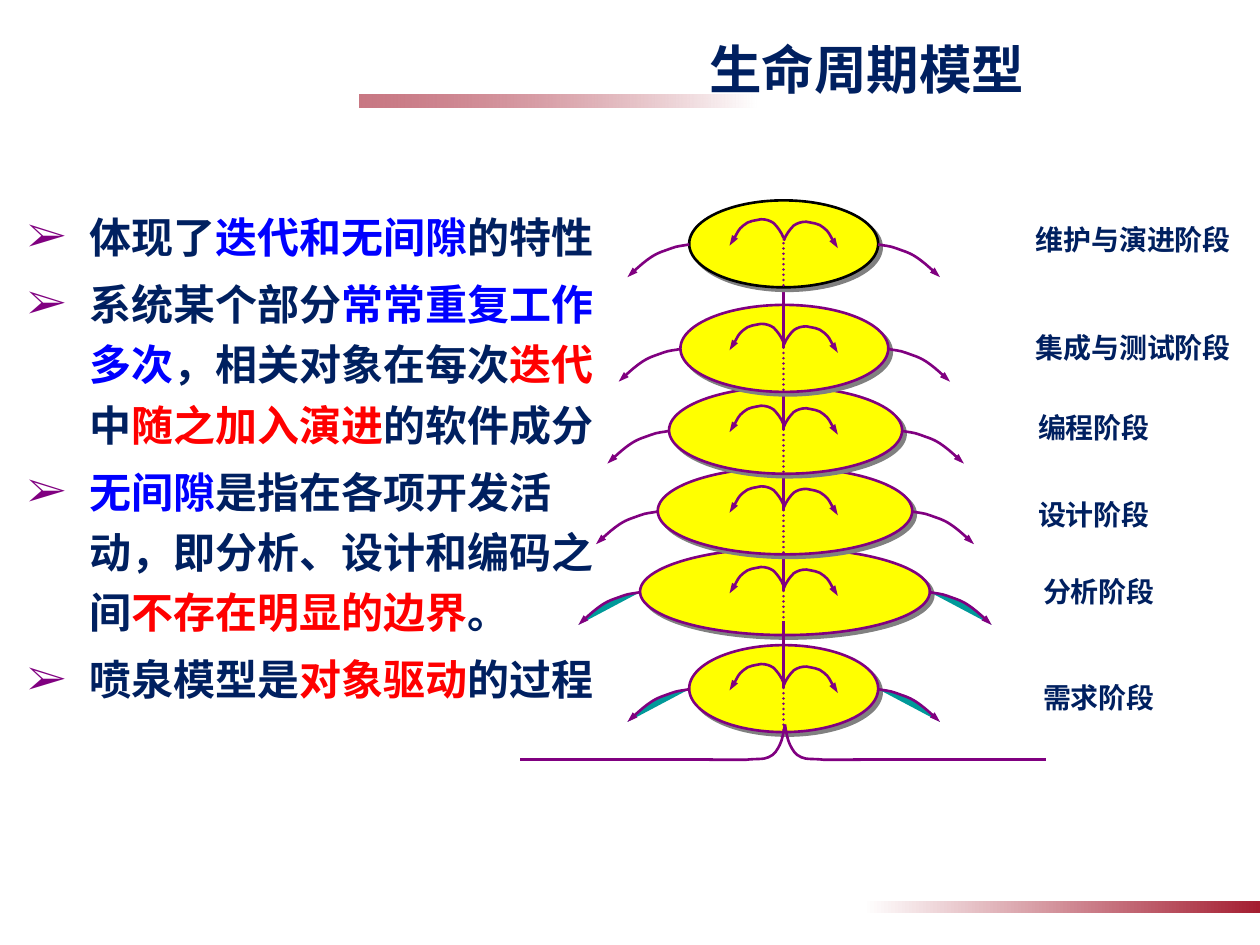
from lxml.etree import SubElement
from pptx import Presentation
from pptx.dml.color import RGBColor
from pptx.enum.dml import MSO_LINE
from pptx.enum.shapes import MSO_CONNECTOR, MSO_SHAPE
from pptx.enum.text import MSO_ANCHOR, PP_ALIGN
from pptx.oxml.ns import qn
from pptx.util import Inches, Pt

COLORS = {
    "navy": "002060", "blue": "0000FF", "red": "FF0000", "purple": "800080",
    "yellow": "FFFF00", "teal": "009999", "crimson": "A41E31",
    "gray": "808080", "white": "FFFFFF", "black": "000000",
}
RGB = {name: RGBColor.from_string(value) for name, value in COLORS.items()}

deck = Presentation()
deck.slide_width, deck.slide_height = Inches(10), Inches(7.5)
page = deck.slides.add_slide(deck.slide_layouts[6])
shapes = page.shapes


def add_line(x1, y1, x2, y2, dash=None):
    line = shapes.add_connector(
        MSO_CONNECTOR.STRAIGHT, Inches(x1), Inches(y1), Inches(x2), Inches(y2))
    line.line.color.rgb = RGB["purple"]
    line.line.width = Pt(1.5)
    line.line.dash_style = dash
    if dash:
        line.line._get_or_add_ln().set("cap", "rnd")
    SubElement(line._element.spPr, qn("a:effectLst"))


def add_curve(x, y, side, offsets, fill=None, arrow=True):
    points = [(Inches(x + side * dx), Inches(y + dy)) for dx, dy in offsets]
    builder = shapes.build_freeform(*points[0])
    builder.add_line_segments(points[1:], close=False)
    curve = builder.convert_to_shape()
    curve.shadow.inherit = False
    if fill:
        curve.fill.solid()
        curve.fill.fore_color.rgb = RGB[fill]
    else:
        curve.fill.background()
    curve.line.color.rgb = RGB["purple"]
    curve.line.width = Pt(1.5)
    if arrow:
        SubElement(curve.line._get_or_add_ln(), qn("a:tailEnd"),
                   type="triangle", w="sm", len="med")
    outline = next(curve._element.iter(qn("a:path")))
    segments = outline.findall(qn("a:lnTo"))
    for start in range(0, len(segments), 3):
        bezier = SubElement(outline, qn("a:cubicBezTo"))
        for segment in segments[start:start + 3]:
            bezier.append(segment[0])
            outline.remove(segment)


for left, top, rotation, alpha in [(2.85, 0.75, 180, 60), (6.85, 7.15, 0, 100)]:
    bar = shapes.add_shape(
        MSO_SHAPE.RECTANGLE, Inches(left), Inches(top), Inches(3.15), Inches(0.1))
    bar.rotation = rotation
    bar.shadow.inherit = False
    bar.line.fill.background()
    bar.fill.gradient()
    bar.fill.gradient_angle = 0
    for stop, color in zip(bar.fill.gradient_stops, ["white", "crimson"]):
        stop.color.rgb = RGB[color]
    if alpha < 100:
        tint = list(bar._element.spPr.iter(qn("a:srgbClr")))[-1]
        SubElement(tint, qn("a:alpha"), val=str(alpha * 1000))

BULLETS = [
    [("体现了", "navy"), ("迭代和无间隙", "blue"), ("的特性", "navy")],
    [("系统某个部分", "navy"), ("常常重复工作多次", "blue"),
     ("，相关对象在每次", "navy"), ("迭代", "red"), ("中", "navy"),
     ("随之加入演进", "red"), ("的软件成分", "navy")],
    [("无间隙", "blue"), ("是指在各项开发活动，即分析、设计和编码之间", "navy"),
     ("不存在明显的边界", "red"), ("。", "navy")],
    [("喷泉模型是", "navy"), ("对象驱动", "red"), ("的过程", "navy")],
]
body = shapes.add_textbox(Inches(0.12), Inches(1.55), Inches(4.71), Inches(4.77))
frame = body.text_frame
frame.word_wrap = True
for index, runs in enumerate(BULLETS):
    para = frame.add_paragraph() if index else frame.paragraphs[0]
    para.line_spacing = 1.2
    if index:
        para.space_before = Pt(3.6)
    properties = para._p.get_or_add_pPr()
    properties.set("marL", str(Inches(0.49)))
    properties.set("indent", str(-Inches(0.49)))
    properties.set("hangingPunct", "0")
    bullet_color = SubElement(properties, qn("a:buClr"))
    SubElement(bullet_color, qn("a:srgbClr"), val=COLORS["purple"])
    SubElement(properties, qn("a:buFont"), typeface="Times New Roman")
    SubElement(properties, qn("a:buChar"), char="➢")
    para.font.name, para.font.size, para.font.bold = "Times New Roman", Pt(24), True
    for text, color in runs:
        span = para.add_run()
        span.text = text
        span.font.color.rgb = RGB[color]

AXIS = 6.22
SPOUT = [(0, 0.3), (0.02, 0.25), (0.05, 0.21), (0.08, 0.18),
         (0.11, 0.16), (0.14, 0.15), (0.18, 0.15),
         (0.22, 0.16), (0.28, 0.16), (0.32, 0.2),
         (0.36, 0.23), (0.41, 0.34), (0.43, 0.36)]
WING = [(0, 0), (0.04, 0.01), (0.09, 0.01), (0.14, 0.03),
        (0.19, 0.05), (0.24, 0.06), (0.3, 0.1),
        (0.36, 0.14), (0.46, 0.23), (0.49, 0.26)]
ROOT = [(0, 0), (0.01, 0.06), (0.02, 0.12), (0.04, 0.16),
        (0.06, 0.2), (0.08, 0.24), (0.13, 0.26),
        (0.17, 0.28), (0.23, 0.27), (0.31, 0.28),
        (0.39, 0.28), (0.55, 0.28), (0.6, 0.28)]
STAGES = [
    (5.08, 4.35, 2.3, "purple", "yellow", "teal"),
    (5.22, 3.71, 2.02, "purple", None, None),
    (5.31, 3.07, 1.85, "purple", None, None),
    (5.4, 2.42, 1.65, "purple", None, None),
    (5.47, 1.59, 1.5, "black", None, None),
    (5.47, 5.12, 1.5, "purple", "yellow", "teal"),
]
add_line(AXIS, 5.07, AXIS, 5.29)
for left, top, width, outline_color, spout_fill, wing_fill in STAGES:
    stage = shapes.add_shape(
        MSO_SHAPE.OVAL, Inches(left), Inches(top), Inches(width), Inches(0.69))
    stage.fill.solid()
    stage.fill.fore_color.rgb = RGB["yellow"]
    stage.line.color.rgb = RGB[outline_color]
    stage.line.width = Pt(1.5)
    effects = SubElement(stage._element.spPr, qn("a:effectLst"))
    shadow = SubElement(effects, qn("a:outerShdw"), dist=str(Pt(2.8)),
                        dir="2700000", algn="ctr", rotWithShape="0")
    SubElement(shadow, qn("a:srgbClr"), val=COLORS["gray"])
    add_curve(AXIS, top, -1, SPOUT, spout_fill)
    add_curve(AXIS, top + 0.02, 1, SPOUT, spout_fill)
    if outline_color == "purple":
        add_line(AXIS, top - 0.19, AXIS, top + 0.34)
    add_line(AXIS, top + 0.34, AXIS, top + 0.7, MSO_LINE.ROUND_DOT)
    add_curve(left, top + 0.35, -1, WING, wing_fill)
    add_curve(left + width, top + 0.35, 1, WING, wing_fill)

for side, inner, outer in [(-1, 5.66, 4.13), (1, 6.77, 8.3)]:
    add_curve(6.23, 5.75, side, ROOT, arrow=False)
    add_line(inner, 6.03, outer, 6.03)

LABELS = [
    ("需求阶段", 8.18, 5.35, 1.15), ("分析阶段", 8.18, 4.51, 1.09),
    ("设计阶段", 8.14, 3.9, 1.12), ("编程阶段", 8.14, 3.21, 1.19),
    ("集成与测试阶段", 8.12, 2.57, 1.85), ("维护与演进阶段", 8.12, 1.72, 1.79),
]
for text, left, top, width in LABELS:
    label = shapes.add_shape(
        MSO_SHAPE.RECTANGLE, Inches(left), Inches(top), Inches(width), Inches(0.58))
    label.shadow.inherit = False
    label.fill.solid()
    label.fill.fore_color.rgb = RGB["white"]
    label.line.fill.background()
    frame = label.text_frame
    frame.word_wrap = True
    frame.margin_right = 0
    frame.vertical_anchor = MSO_ANCHOR.TOP
    para = frame.paragraphs[0]
    para.text = text
    para.alignment = PP_ALIGN.JUSTIFY
    para.font.name, para.font.size, para.font.bold = "Times New Roman", Pt(16), True
    para.font.color.rgb = RGB["navy"]

title = shapes.add_textbox(Inches(3.76), Inches(0.21), Inches(6.24), Inches(0.63))
frame = title.text_frame
frame.word_wrap = True
frame.vertical_anchor = MSO_ANCHOR.BOTTOM
frame.margin_left = frame.margin_right = Inches(0.08)
frame.margin_top, frame.margin_bottom = Inches(0.04), Inches(0.05)
para = frame.paragraphs[0]
para.text = "生命周期模型"
para.alignment = PP_ALIGN.CENTER
para.font.name, para.font.size, para.font.bold = "Noto Sans CJK SC", Pt(30), True
para.font.color.rgb = RGB["navy"]

deck.save("out.pptx")
